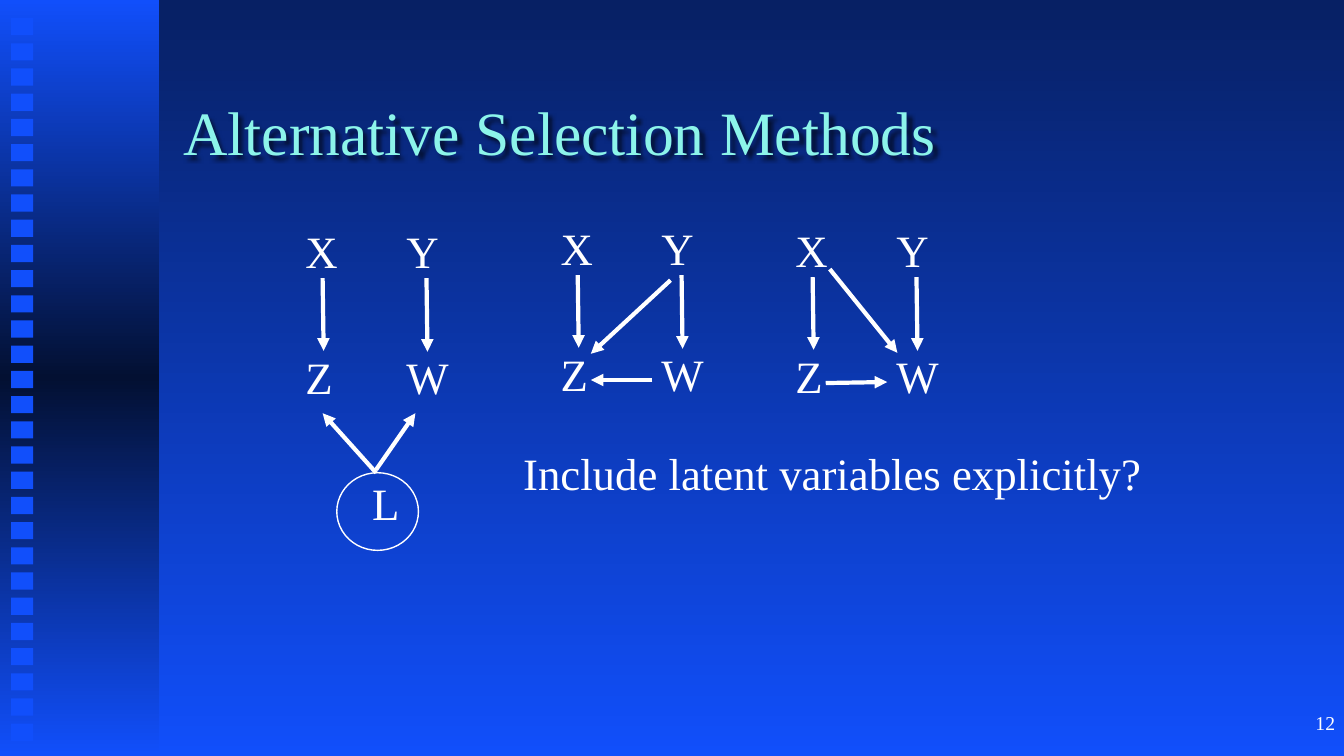
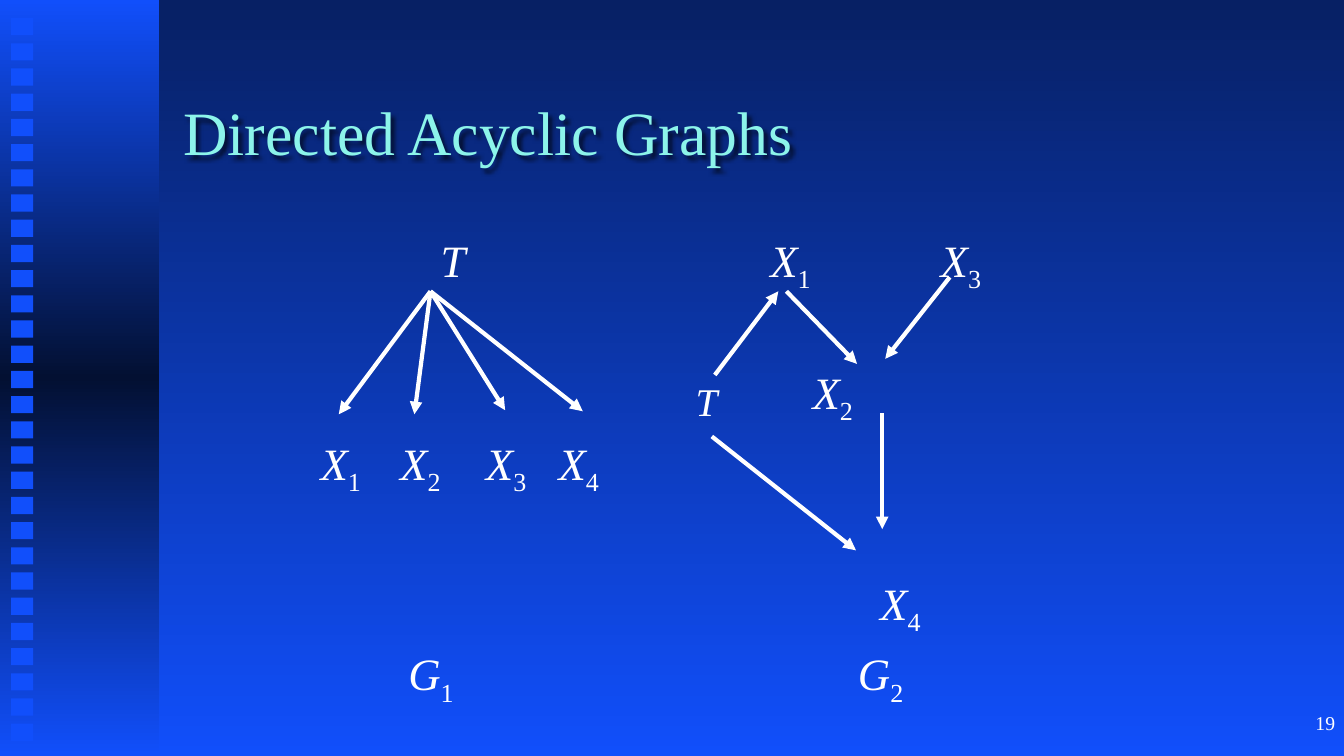
from dataclasses import dataclass

from lxml.etree import SubElement
from pptx import Presentation
from pptx.dml.color import RGBColor
from pptx.enum.shapes import MSO_CONNECTOR, MSO_SHAPE
from pptx.enum.text import MSO_ANCHOR, PP_ALIGN
from pptx.oxml.ns import qn
from pptx.util import Inches, Pt


@dataclass(frozen=True)
class Theme:
    font: str = "Times New Roman"
    navy: str = "072064"
    blue: str = "114FFB"
    midnight: str = "031032"
    aqua: str = "8CF4EA"
    white: str = "FFFFFF"
    black: str = "000000"
    title_size: int = 44
    body_size: int = 32
    small_node_size: int = 28
    number_size: int = 14
    arrow_width: int = 3
    outline_width: int = 1


THEME = Theme()

# Alternative Selection Methods: origins are the top left of node X
SELECTION_TITLE = "Alternative Selection Methods"
SELECTION_QUESTION = "Include latent variables explicitly?"
SELECTION_ORIGINS = [(3.03, 2.22), (5.56, 2.19), (7.89, 2.21)]
SELECTION_NODES = [("X", 0, 0), ("Y", 1, 0), ("Z", 0, 1.25), ("W", 1, 1.25)]
SELECTION_ARROWS = [(0.17, 0.54, 0.18, 1.26), (1.2, 0.54, 1.21, 1.27)]
LATENT_NODE = ("L", 3.69, 4.72)
LATENT_CIRCLE = (3.34, 4.69, 0.81, 0.77)
EXTRA_ARROWS = [
    (3.73, 4.69, 3.2, 4.1),
    (3.73, 4.66, 4.12, 4.1),
    (6.47, 3.77, 5.86, 3.77),
    (6.65, 2.78, 5.86, 3.51),
    (8.19, 3.8, 8.8, 3.79),
    (8.23, 2.67, 8.9, 3.5),
]

# Directed Acyclic Graphs: letter, subscript, left, top
ACYCLIC_TITLE = "Directed Acyclic Graphs"
ACYCLIC_NODES = [
    ("T", "", 4.37, 2.31),
    ("X", "1", 7.64, 2.31),
    ("X", "3", 9.33, 2.31),
    ("X", "2", 8.06, 3.62),
    ("X", "1", 3.18, 4.32),
    ("X", "2", 3.97, 4.32),
    ("X", "3", 4.82, 4.32),
    ("X", "4", 5.54, 4.32),
    ("X", "4", 8.73, 5.71),
    ("G", "1", 4.05, 6.41),
    ("G", "2", 8.51, 6.41),
]
SMALL_NODE = ("T", 6.9, 3.74)
FAN_START = (4.27, 2.89)
FAN_ENDS = [(3.36, 4.11), (4.11, 4.11), (5.01, 4.07), (5.78, 4.08)]
ACYCLIC_ARROWS = [
    (7.8, 2.89, 8.5, 3.61),
    (9.42, 2.75, 8.78, 3.56),
    (8.75, 4.1, 8.75, 5.25),
    (7.09, 3.72, 7.72, 2.89),
    (7.06, 4.33, 8.49, 5.46),
]


# Drawing helpers
def color(value):
    return RGBColor.from_string(value)


def paint_gradient(fill, owner, colors):
    """Run evenly spaced colours from top to bottom."""
    fill.gradient()
    fill.gradient_angle = 270
    stops = next(owner.iter(qn("a:gsLst")))
    for stop in list(stops):
        stops.remove(stop)
    for index, value in enumerate(colors):
        position = index * 100000 // (len(colors) - 1)
        stop = SubElement(stops, qn("a:gs"), pos=str(position))
        SubElement(stop, qn("a:srgbClr"), val=value)


def add_shape(slide, kind, area):
    shape = slide.shapes.add_shape(kind, *map(Inches, area))
    shape.shadow.inherit = False
    return shape


def style_span(span, size, value, italic=False):
    span.font.name = THEME.font
    span.font.size = Pt(size)
    span.font.color.rgb = color(value)
    span.font.italic = italic


def add_text(slide, text, area, size, value=THEME.white, italic=False):
    box = slide.shapes.add_textbox(*map(Inches, area))
    box.text_frame.word_wrap = True
    box.text_frame.text = text
    style_span(box.text_frame.paragraphs[0].runs[0], size, value, italic)
    return box


def add_node(slide, letter, left, top, subscript="", italic=False,
             size=THEME.body_size):
    box = add_text(slide, letter, (left, top, 0.6, 0.52), size, italic=italic)
    frame = box.text_frame
    frame.margin_left = frame.margin_right = 0
    frame.margin_top = frame.margin_bottom = 0
    if subscript:
        span = frame.paragraphs[0].add_run()
        span.text = subscript
        style_span(span, size, THEME.white)
        span.font._element.set("baseline", "-25000")


def add_arrow(slide, ends):
    arrow = slide.shapes.add_connector(
        MSO_CONNECTOR.STRAIGHT, *map(Inches, ends))
    arrow.line.color.rgb = color(THEME.white)
    arrow.line.width = Pt(THEME.arrow_width)
    properties = arrow._element.spPr
    SubElement(properties.find(qn("a:ln")), qn("a:tailEnd"), type="triangle")
    SubElement(properties, qn("a:effectLst"))


def add_title(slide, title):
    box = add_text(slide, title, (1.72, 0.67, 11.25, 1.25),
                   THEME.title_size, THEME.aqua)
    box.text_frame.vertical_anchor = MSO_ANCHOR.MIDDLE
    effects = SubElement(box._element.spPr, qn("a:effectLst"))
    shadow = SubElement(effects, qn("a:outerShdw"), blurRad="38100",
                        dist="38100", dir="2700000", algn="tl")
    shade = SubElement(shadow, qn("a:srgbClr"), val=THEME.black)
    SubElement(shade, qn("a:alpha"), val="60000")


# Shared frame: background, side band, squares, title, page number
def add_page(deck, title, number):
    slide = deck.slides.add_slide(deck.slide_layouts[6])
    paint_gradient(slide.background.fill, slide._element,
                   [THEME.navy, THEME.blue])
    band = add_shape(slide, MSO_SHAPE.RECTANGLE, (0, 0, 1.58, 7.49))
    paint_gradient(band.fill, band._element,
                   [THEME.blue, THEME.midnight, THEME.blue])
    band.line.fill.background()
    for index in range(29):
        square = add_shape(slide, MSO_SHAPE.RECTANGLE,
                           (0.11, 0.18 + 0.25 * index, 0.22, 0.17))
        square.fill.solid()
        square.fill.fore_color.rgb = color(THEME.blue)
        square.line.fill.background()
    add_title(slide, title)
    page = add_text(slide, number, (10.56, 7, 2.78, 0.5), THEME.number_size)
    page.text_frame.paragraphs[0].alignment = PP_ALIGN.RIGHT
    return slide


# Slides
def build_selection(deck):
    slide = add_page(deck, SELECTION_TITLE, "12")
    for left, top in SELECTION_ORIGINS:
        for letter, across, down in SELECTION_NODES:
            add_node(slide, letter, left + across, top + down)
        for x1, y1, x2, y2 in SELECTION_ARROWS:
            add_arrow(slide, (left + x1, top + y1, left + x2, top + y2))
    for ends in EXTRA_ARROWS:
        add_arrow(slide, ends)
    add_node(slide, *LATENT_NODE)
    circle = add_shape(slide, MSO_SHAPE.OVAL, LATENT_CIRCLE)
    circle.fill.background()
    circle.line.color.rgb = color(THEME.white)
    circle.line.width = Pt(THEME.outline_width)
    add_text(slide, SELECTION_QUESTION, (5.09, 4.37, 6.43, 0.64),
             THEME.body_size)


def build_acyclic(deck):
    slide = add_page(deck, ACYCLIC_TITLE, "19")
    for letter, subscript, left, top in ACYCLIC_NODES:
        add_node(slide, letter, left, top, subscript, italic=True)
    add_node(slide, *SMALL_NODE, italic=True, size=THEME.small_node_size)
    for ends in [FAN_START + end for end in FAN_ENDS] + ACYCLIC_ARROWS:
        add_arrow(slide, ends)


def main():
    deck = Presentation()
    deck.slide_width, deck.slide_height = Inches(13.33), Inches(7.5)
    build_selection(deck)
    build_acyclic(deck)
    deck.save("out.pptx")


if __name__ == "__main__":
    main()
